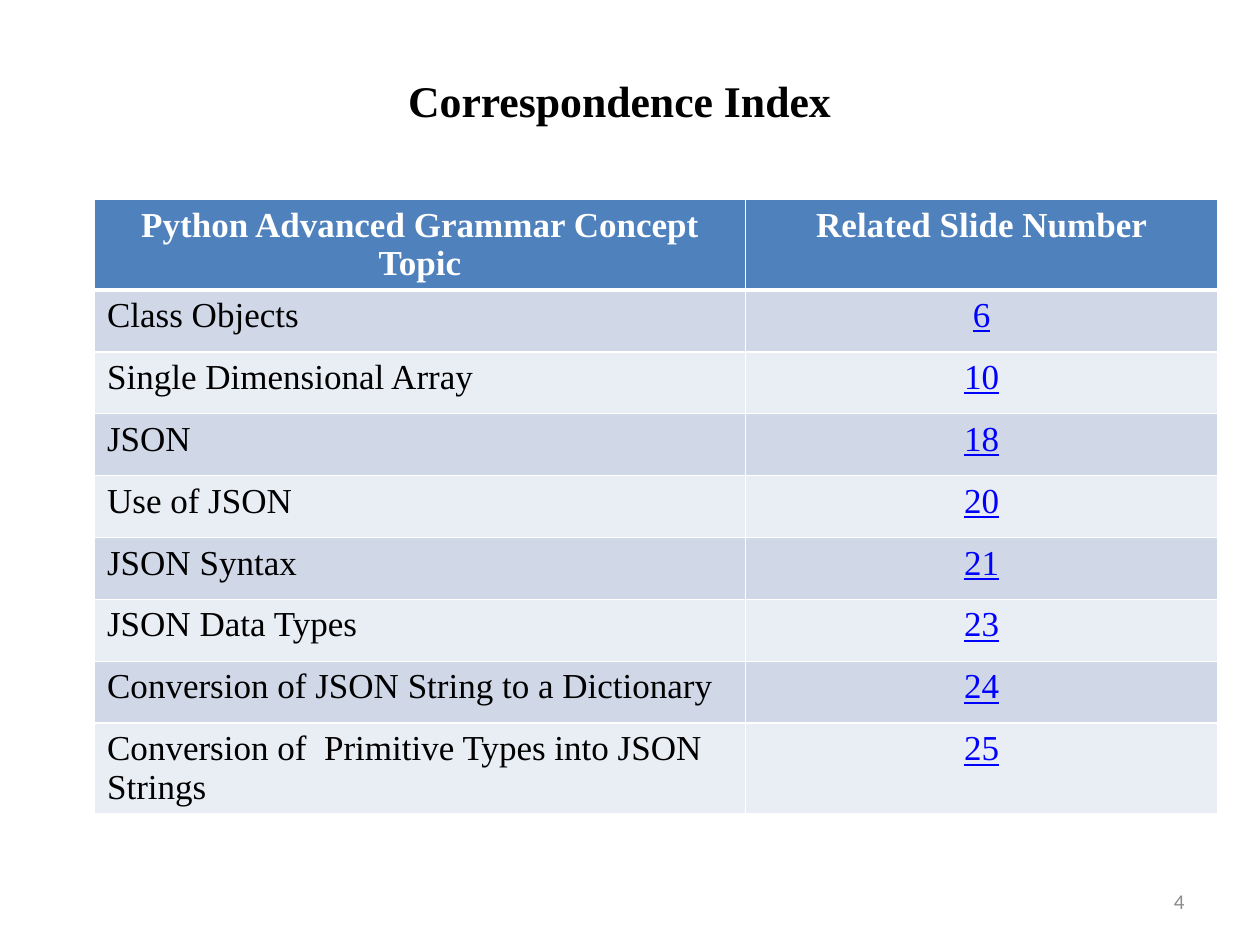
from lxml import etree
from pptx import Presentation
from pptx.dml.color import RGBColor
from pptx.enum.text import MSO_ANCHOR, PP_ALIGN
from pptx.oxml.ns import qn
from pptx.util import Pt

LEFT, CENTER, RIGHT = PP_ALIGN.LEFT, PP_ALIGN.CENTER, PP_ALIGN.RIGHT
MIDDLE = MSO_ANCHOR.MIDDLE
TITLE_ONLY = 5
SERIF, SANS = "Times New Roman", "Calibri"
COLORS = {
    "text": "000000",
    "white": "FFFFFF",
    "header": "4F81BD",
    "odd_row": "D0D8E8",
    "even_row": "E9EDF4",
    "link": "0000FF",
    "page": "8C8C8C",
}
HEADINGS = ("Python Advanced Grammar Concept Topic", "Related Slide Number")
TOPICS = [
    ("Class Objects", 6),
    ("Single Dimensional Array", 10),
    ("JSON", 18),
    ("Use of JSON", 20),
    ("JSON Syntax", 21),
    ("JSON Data Types", 23),
    ("Conversion of JSON String to a Dictionary", 24),
    ("Conversion of  Primitive Types into JSON Strings", 25),
]
COLUMN_WIDTHS = (372, 270)
ROW_HEIGHT = 35.4


def rgb(name):
    """Return the named palette colour."""
    return RGBColor.from_string(COLORS[name])


def write(frame, text, size, color, align, font=SERIF, bold=False, underline=False):
    """Put one formatted line of text into a text frame."""
    frame.text = text
    paragraph = frame.paragraphs[0]
    paragraph.alignment = align
    face = paragraph.runs[0].font
    face.name, face.size = font, Pt(size)
    face.bold, face.underline = bold, underline
    face.color.rgb = rgb(color)


def place(shape, left, top, width, height):
    """Position and size a shape in points."""
    shape.left, shape.top = Pt(left), Pt(top)
    shape.width, shape.height = Pt(width), Pt(height)


def add_borders(cell, top, bottom):
    """Give a cell white borders of the given top and bottom widths."""
    properties = cell._tc.get_or_add_tcPr()
    for side, width in (("L", 1), ("R", 1), ("T", top), ("B", bottom)):
        line = etree.SubElement(properties, qn(f"a:ln{side}"), w=str(Pt(width)))
        fill = etree.SubElement(line, qn("a:solidFill"))
        etree.SubElement(fill, qn("a:srgbClr"), val=COLORS["white"])


def style_cell(cell, row, column, text):
    """Fill one index cell according to its row and column."""
    is_header = row == 0
    add_borders(cell, 3 if row == 1 else 1, 3 if is_header else 1)
    cell.fill.solid()
    band = "header" if is_header else ("even_row", "odd_row")[row % 2]
    cell.fill.fore_color.rgb = rgb(band)
    if is_header:
        write(cell.text_frame, text, 20, "white", CENTER, bold=True)
    elif column == 0:
        write(cell.text_frame, text, 20, "text", LEFT)
    else:
        write(cell.text_frame, text, 20, "link", CENTER, underline=True)


def add_title(slide):
    """Format the title placeholder."""
    title = slide.shapes.title
    place(title, 30, 12, 648, 90)
    title.text_frame.vertical_anchor = MIDDLE
    write(title.text_frame, "Correspondence Index", 25, "text", CENTER, bold=True)


def add_index(slide):
    """Add the table of topics and their slide numbers."""
    entries = [HEADINGS, *TOPICS]
    index = slide.shapes.add_table(
        len(entries), len(HEADINGS), Pt(54), Pt(114),
        Pt(sum(COLUMN_WIDTHS)), Pt(ROW_HEIGHT * len(entries)),
    ).table
    for column, width in zip(index.columns, COLUMN_WIDTHS):
        column.width = Pt(width)
    for row, entry in enumerate(entries):
        index.rows[row].height = Pt(ROW_HEIGHT)
        for column, value in enumerate(entry):
            style_cell(index.cell(row, column), row, column, str(value))


def add_page_number(slide):
    """Add the page number at the bottom right."""
    page = slide.shapes.add_textbox(Pt(516), Pt(500.5), Pt(168), Pt(28.8))
    page.text_frame.word_wrap = True
    page.text_frame.vertical_anchor = MIDDLE
    write(page.text_frame, "4", 12, "page", RIGHT, font=SANS)


def main():
    """Build and save the slide."""
    deck = Presentation()
    deck.slide_width, deck.slide_height = Pt(720), Pt(540)
    slide = deck.slides.add_slide(deck.slide_layouts[TITLE_ONLY])
    add_title(slide)
    add_index(slide)
    add_page_number(slide)
    deck.save("out.pptx")


if __name__ == "__main__":
    main()
